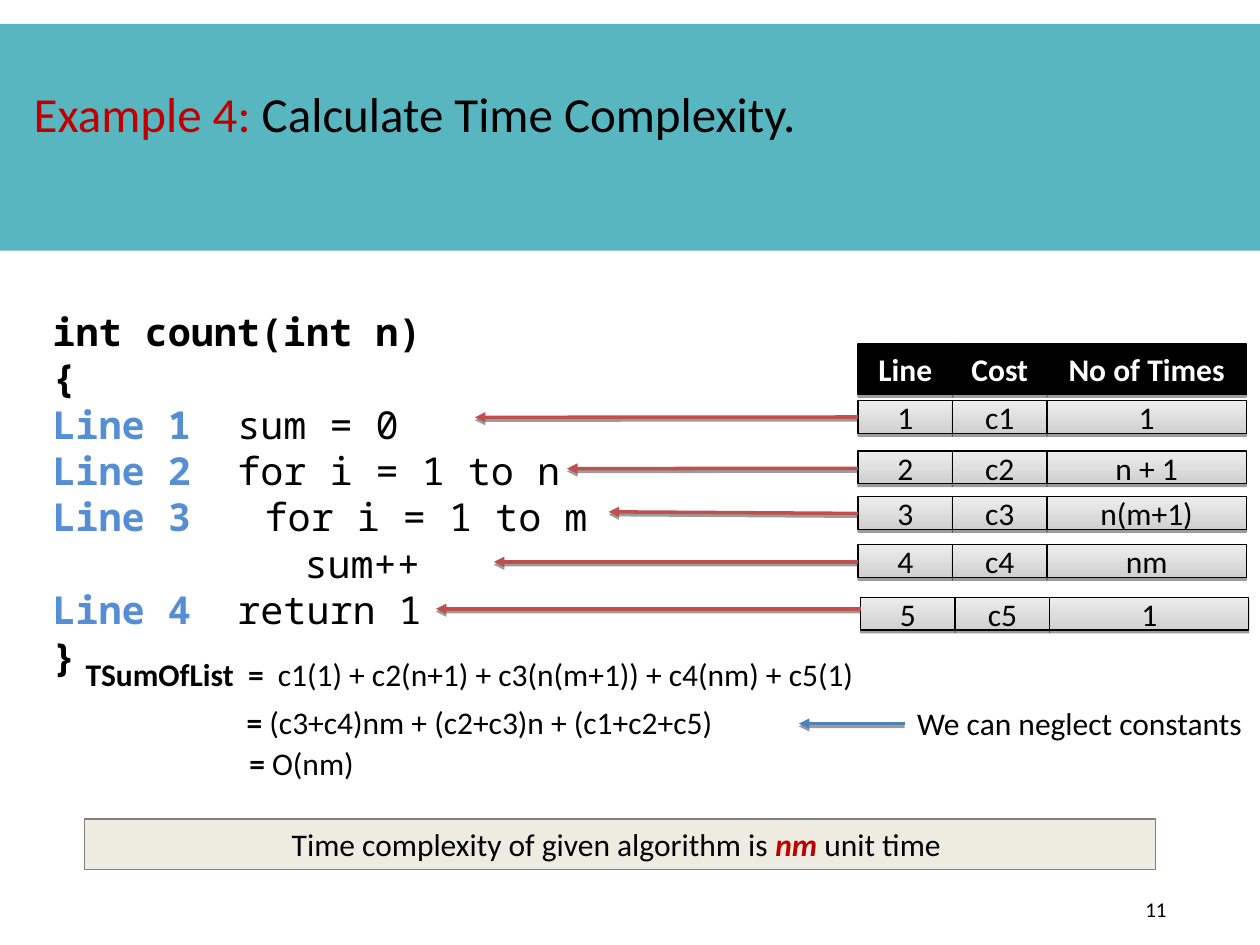
import dataclasses

import pptx
import pptx.dml.color
import pptx.enum.shapes
import pptx.enum.text
import pptx.oxml
import pptx.oxml.ns
import pptx.util
from pptx.util import Pt


@dataclasses.dataclass(frozen=True)
class Theme:
    teal: str = "58B6C0"
    black: str = "000000"
    white: str = "FFFFFF"
    blue: str = "558ED5"
    arrow_blue: str = "4F81BD"
    red: str = "C00000"
    arrow_red: str = "C0504D"
    beige: str = "EEECE1"
    gray: str = "808080"
    cell_top: str = "EDEDED"
    cell_bottom: str = "D0D0D0"
    font: str = "Calibri"
    code_font: str = "Noto Sans Mono"
    title_size: int = 28
    code_size: int = 22
    body_size: int = 18
    number_size: int = 12


theme = Theme()
rgb = pptx.dml.color.RGBColor.from_string
align = pptx.enum.text.PP_ALIGN
anchors = pptx.enum.text.MSO_ANCHOR


def write(paragraph, text, size=theme.body_size, color=theme.black, bold=False,
          italic=False, font=theme.font, tabs=()):
    """Add one run to a paragraph, with left tab stops in points if given."""
    run = paragraph.add_run()
    run.text = text
    run.font.size = Pt(size)
    run.font.color.rgb = rgb(color)
    run.font.bold = bold
    run.font.italic = italic
    run.font.name = font
    if tabs:
        stops = "".join(f'<a:tab pos="{int(Pt(stop))}" algn="l"/>' for stop in tabs)
        paragraph._p.get_or_add_pPr().append(pptx.oxml.parse_xml(
            f'<a:tabLst {pptx.oxml.ns.nsdecls("a")}>{stops}</a:tabLst>'))


def add_box(left, top, width, height, fill=None, line=None,
            alignment=align.LEFT, anchor=anchors.TOP, wrap=True):
    """Add a text box, or a rectangle when there is a fill."""
    place = Pt(left), Pt(top), Pt(width), Pt(height)
    if fill:
        box = slide.shapes.add_shape(pptx.enum.shapes.MSO_SHAPE.RECTANGLE, *place)
        box.shadow.inherit = False
        box.fill.solid()
        box.fill.fore_color.rgb = rgb(fill)
        if line:
            box.line.color.rgb = rgb(line)
            box.line.width = Pt(0.75)
        else:
            box.line.fill.background()
    else:
        box = slide.shapes.add_textbox(*place)
    box.text_frame.word_wrap = wrap
    box.text_frame.vertical_anchor = anchor
    box.text_frame.paragraphs[0].alignment = alignment
    return box


presentation = pptx.Presentation()
presentation.slide_width, presentation.slide_height = Pt(720), Pt(540)
slide = presentation.slides.add_slide(presentation.slide_layouts[6])
shadowed = []

# Title band
add_box(0, 13.7, 720, 129.6, fill=theme.teal)
title = add_box(12.2, 48.2, 690, 67, alignment=align.JUSTIFY)
heading = title.text_frame.paragraphs[0]
heading.line_spacing = 0.9
write(heading, "Example 4:", size=theme.title_size, color=theme.red)
write(heading, " Calculate Time Complexity.", size=theme.title_size)

# Code listing: label, statement, tab stop of the statement
code_lines = [
    ("", "int count(int n)", None),
    ("", "{", None),
    ("Line 1", "sum = 0", 105.6),
    ("Line 2", "for i = 1 to n", 105.6),
    ("Line 3", "for i = 1 to m", 121.2),
    ("", "sum++", 144),
    ("Line 4", "return 1", 105.6),
    ("", "}", None),
]
code_frame = add_box(23, 172.3, 432, 226.8).text_frame
for index, (label, statement, stop) in enumerate(code_lines):
    paragraph = code_frame.add_paragraph() if index else code_frame.paragraphs[0]
    paragraph.line_spacing = Pt(26.5)
    if label:
        write(paragraph, label, size=theme.code_size, color=theme.blue,
              bold=True, font=theme.code_font)
    write(paragraph, f"\t{statement}" if stop else statement, size=theme.code_size,
          bold=stop is None, font=theme.code_font, tabs=[stop] if stop else ())

# Cost grid: left, top, height, cell texts
column_widths = [54, 54, 113.8]
grid_rows = [
    (490.3, 196.6, 28.8, ("Line", "Cost", "No of Times")),
    (490.3, 229, 18.7, ("1", "c1", "1")),
    (490.3, 257.8, 18.7, ("2", "c2", "n + 1")),
    (490.3, 283.9, 18.7, ("3", "c3", "n(m+1)")),
    (490.3, 311.3, 18.7, ("4", "c4", "nm")),
    (491.8, 341.3, 18.7, ("5", "c5", "1")),
]
for row, (left, top, height, texts) in enumerate(grid_rows):
    is_header = row == 0
    for column, text in enumerate(texts):
        cell = add_box(left + sum(column_widths[:column]), top,
                       column_widths[column], height,
                       fill=theme.black, line=theme.black,
                       alignment=align.CENTER, anchor=anchors.MIDDLE)
        if not is_header:
            cell.fill.gradient()
            cell.fill.gradient_angle = 270
            stops = cell.fill.gradient_stops
            for stop, position, color in zip(
                    stops, (0, 1), (theme.cell_top, theme.cell_bottom)):
                stop.position = position
                stop.color.rgb = rgb(color)
        write(cell.text_frame.paragraphs[0], text, bold=is_header,
              color=theme.white if is_header else theme.black)
        shadowed.append(cell)

# Arrows: start x, start y, end x, end y, color
arrows = [
    (490.3, 238.3, 271.4, 238.5, theme.arrow_red),
    (490.3, 267.6, 324, 267.8, theme.arrow_red),
    (490.3, 293.4, 347.8, 292.5, theme.arrow_red),
    (490.3, 321.1, 282.2, 321.1, theme.arrow_red),
    (491.8, 347.9, 249.1, 347.9, theme.arrow_red),
    (517, 413.5, 456.5, 413.5, theme.arrow_blue),
]
for start_x, start_y, end_x, end_y, color in arrows:
    arrow = slide.shapes.add_connector(
        pptx.enum.shapes.MSO_CONNECTOR.STRAIGHT,
        Pt(start_x), Pt(start_y), Pt(end_x), Pt(end_y))
    arrow.line.color.rgb = rgb(color)
    arrow.line.width = Pt(2)
    arrow.line._get_or_add_ln().append(pptx.oxml.parse_xml(
        f'<a:tailEnd {pptx.oxml.ns.nsdecls("a")} type="triangle"/>'))
    arrow._element.spPr.append(pptx.oxml.parse_xml(
        f'<a:effectLst {pptx.oxml.ns.nsdecls("a")}/>'))
    shadowed.append(arrow)

# Soft shadow straight below cells and arrows
for shape in shadowed:
    effects = shape._element.spPr.find(pptx.oxml.ns.qn("a:effectLst"))
    effects.append(pptx.oxml.parse_xml(
        f'<a:outerShdw {pptx.oxml.ns.nsdecls("a")} blurRad="0" dist="{int(Pt(1.6))}" '
        f'dir="5400000" rotWithShape="0"><a:srgbClr val="{theme.black}">'
        '<a:alpha val="38000"/></a:srgbClr></a:outerShdw>'))

# Derivation: left, top, width, bold part, plain part, tab stops
derivation = [
    (41.8, 370.8, 502.6, "TSumOfList\t=", "\tc1(1) + c2(n+1) + c3(n(m+1)) + c4(nm) + c5(1)",
     (92.9, 109.9)),
    (133.9, 398.2, 312.5, "=", " (c3+c4)nm + (c2+c3)n + (c1+c2+c5)", ()),
    (135.4, 421.9, 185.8, "=", " O(nm)", ()),
]
for left, top, width, bold_part, plain_part, tabs in derivation:
    paragraph = add_box(left, top, width, 28.8).text_frame.paragraphs[0]
    write(paragraph, bold_part, bold=True, tabs=tabs)
    write(paragraph, plain_part)
remark = add_box(517, 398.9, 202, 28.8, wrap=False)
write(remark.text_frame.paragraphs[0], "We can neglect constants")

# Conclusion
conclusion = add_box(48.2, 468, 612, 28.8, fill=theme.beige, line=theme.gray,
                     alignment=align.CENTER).text_frame.paragraphs[0]
write(conclusion, "Time complexity of given algorithm is ")
write(conclusion, "nm", color=theme.red, bold=True, italic=True)
write(conclusion, " unit time ")

# Slide number
number = add_box(650.9, 505.4, 56.2, 28.8, anchor=anchors.MIDDLE)
number.text_frame.margin_left = Pt(3.6)
write(number.text_frame.paragraphs[0], "11", size=theme.number_size)

presentation.save("out.pptx")
